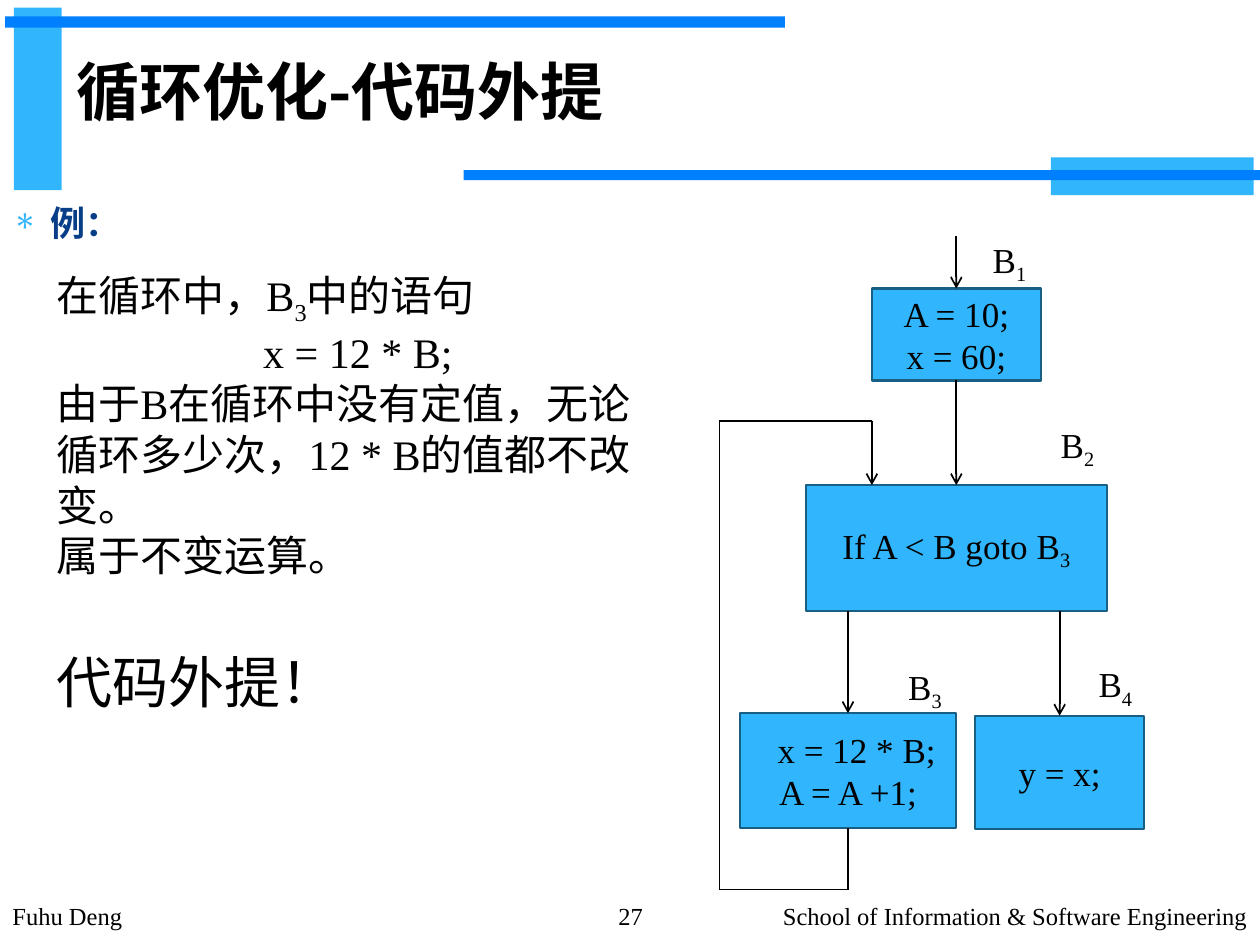
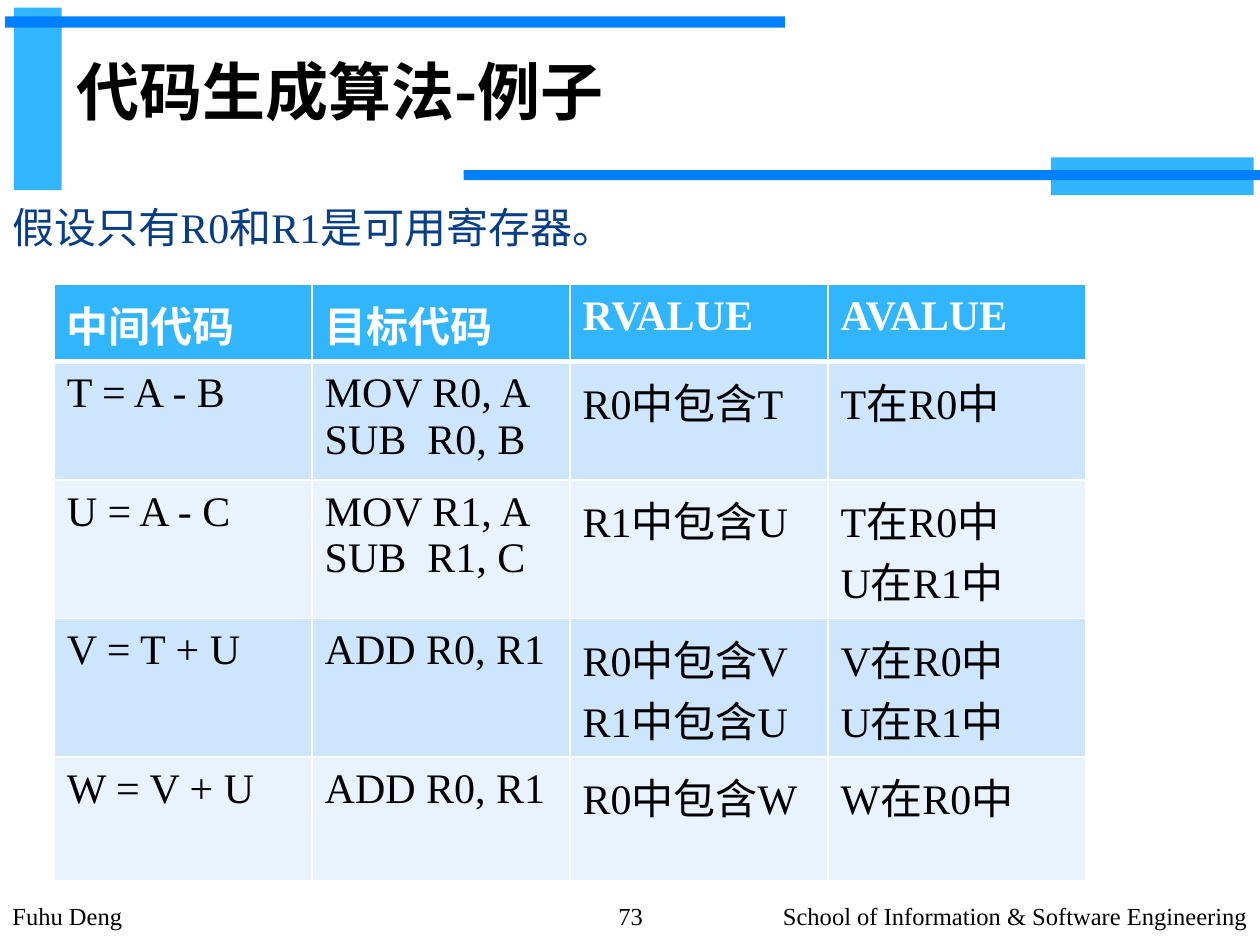
from dataclasses import dataclass
from typing import NamedTuple

from lxml import etree
from pptx import Presentation
from pptx.dml.color import RGBColor
from pptx.enum.shapes import MSO_CONNECTOR, MSO_SHAPE
from pptx.enum.text import MSO_ANCHOR, PP_ALIGN
from pptx.oxml.ns import qn
from pptx.util import Inches, Pt

RECTANGLE = MSO_SHAPE.RECTANGLE
STRAIGHT = MSO_CONNECTOR.STRAIGHT
TOP, MIDDLE = MSO_ANCHOR.TOP, MSO_ANCHOR.MIDDLE
LEFT, CENTER, RIGHT = PP_ALIGN.LEFT, PP_ALIGN.CENTER, PP_ALIGN.RIGHT
TOP_SIDE, BOTTOM_SIDE = 0, 2

WIDTH, HEIGHT = Inches(10), Inches(7.5)
COLUMNS, ROWS = 100, 75
LATIN, CHINESE = "Times New Roman", "Noto Sans CJK SC"
COLORS = {
    "sky": "31B6FD", "blue": "0080FF", "navy": "073E87", "edge": "195F84",
    "black": "000000", "white": "FFFFFF", "odd": "CEE5FE", "even": "E8F3FF",
}
BANDS = [
    ((1.1, 0.6, 3.8, 14.5), "sky"), ((0.4, 1.3, 61.9, 0.9), "blue"),
    ((83.4, 12.5, 16.1, 3), "sky"), ((36.8, 13.5, 63.6, 0.8), "blue"),
]
NODES = {
    "B1": ((12.1, 4.2, 13.4, 7.3), ["A = 10;", "x = 60;"], (20.7, -0.3)),
    "B2": ((6.85, 19.8, 23.9, 10), ["If A < B goto B_3"], (26.1, 14.4)),
    "B3": ((1.6, 37.9, 17.2, 9.1), ["  x = 12 * B;", "A = A +1;"], (14, 33.6)),
    "B4": ((20.3, 38.1, 13.4, 9), ["y = x;"], (29.1, 33.4)),
}
TABLE_ROWS = [
    ["中间代码", "目标代码", "RVALUE", "AVALUE"],
    ["T = A - B", "MOV R0, A\nSUB  R0, B", "R0中包含T", "T在R0中"],
    ["U = A - C", "MOV R1, A\nSUB  R1, C", "R1中包含U", "T在R0中\nU在R1中"],
    ["V = T + U", "ADD R0, R1", "R0中包含V\nR1中包含U", "V在R0中\nU在R1中"],
    ["W = V + U", "ADD R0, R1", "R0中包含W", "W在R0中"],
]
ROW_HEIGHTS = [6.1, 9.4, 11, 11, 9.8]


class Box(NamedTuple):
    """A rectangle in grid columns and rows."""

    left: float
    top: float
    width: float
    height: float

    def within(self, left, top, width, height):
        """Return a box placed relative to this one."""
        return Box(self.left + left, self.top + top, width, height)

    def point(self, column, row):
        """Return a slide position relative to this box."""
        return across(self.left + column), down(self.top + row)

    def lengths(self):
        """Return left, top, width and height as slide lengths."""
        return (across(self.left), down(self.top),
                across(self.width), down(self.height))


@dataclass
class Style:
    """The look of a paragraph."""

    size: float
    color: str = "black"
    bold: bool = False
    align: int = LEFT
    before: float = 0
    font: str = LATIN
    fixed: bool = True
    bullet: str = ""


PAGE = Box(0, 0, COLUMNS, ROWS)


def across(columns):
    """Turn columns into a length."""
    return round(WIDTH * columns / COLUMNS)


def down(rows):
    """Turn rows into a length."""
    return round(HEIGHT * rows / ROWS)


def rgb(name):
    """Look up a named colour."""
    return RGBColor.from_string(COLORS[name])


def add_bullet(para, mark):
    """Give a paragraph a hanging bullet."""
    properties = para._p.get_or_add_pPr()
    properties.set("marL", str(Inches(0.3)))
    properties.set("indent", str(-Inches(0.3)))
    color = etree.SubElement(properties, qn("a:buClr"))
    etree.SubElement(color, qn("a:srgbClr")).set("val", COLORS["sky"])
    etree.SubElement(properties, qn("a:buFont")).set("typeface", "Symbol")
    etree.SubElement(properties, qn("a:buChar")).set("char", mark)


def add_span(para, text, style, subscript):
    """Add one run, lowered if it is a subscript."""
    span = para.add_run()
    span.text = text
    span.font.size = Pt(style.size)
    span.font.bold = style.bold
    span.font.color.rgb = rgb(style.color)
    span.font.name = style.font
    properties = span._r.get_or_add_rPr()
    etree.SubElement(properties, qn("a:ea")).set("typeface", CHINESE)
    if subscript:
        properties.set("baseline", "-25000")


def write(frame, lines):
    """Fill a frame with (text, style) lines; underscores enclose subscripts."""
    for index, (text, style) in enumerate(lines):
        para = frame.add_paragraph() if index else frame.paragraphs[0]
        if style.bullet:
            add_bullet(para, style.bullet)
        para.alignment = style.align
        para.space_before = Pt(style.before)
        if style.fixed:
            para.line_spacing = Pt(round(style.size * 1.21, 1))
        for order, part in enumerate(text.split("_")):
            if part:
                add_span(para, part, style, order % 2 == 1)


def add_text(page, box, lines, anchor=TOP, wrap=True):
    """Add a text box."""
    frame = page.shapes.add_textbox(*box.lengths()).text_frame
    frame.word_wrap = wrap
    frame.vertical_anchor = anchor
    write(frame, lines)


def add_rectangle(page, box, fill, edge=None):
    """Add a flat rectangle."""
    shape = page.shapes.add_shape(RECTANGLE, *box.lengths())
    shape.shadow.inherit = False
    shape.fill.solid()
    shape.fill.fore_color.rgb = rgb(fill)
    if edge:
        shape.line.color.rgb = rgb(edge)
        shape.line.width = Pt(1.25)
    else:
        shape.line.fill.background()
    return shape


def add_edge(page, box, start, end, source=None, target=None, arrow=True):
    """Draw a flow line, joined to the nodes it meets at mid-side."""
    edge = page.shapes.add_connector(
        STRAIGHT, *box.point(*start), *box.point(*end))
    edge.line.color.rgb = rgb("black")
    edge.line.width = Pt(1)
    if arrow:
        etree.SubElement(edge.line._get_or_add_ln(), qn("a:tailEnd")).set("type", "arrow")
    etree.SubElement(edge._element.spPr, qn("a:effectLst"))
    if source is not None:
        edge.begin_connect(source, BOTTOM_SIDE)
    if target is not None:
        edge.end_connect(target, TOP_SIDE)


def add_frame(page, box, title, number):
    """Add the bands, title and footer shared by the slides."""
    for place, color in BANDS:
        add_rectangle(page, box.within(*place), color)
    add_text(page, box.within(5.1, 2.1, 82.7, 10.2),
             [(title, Style(36, bold=True, font=CHINESE, fixed=False))], MIDDLE)
    footers = [
        (0, 46.9, "Fuhu Deng", LEFT),
        (46.9, 6.3, str(number), CENTER),
        (53.1, 46.9, "School of Information & Software Engineering", RIGHT),
    ]
    for left, width, text, align in footers:
        add_text(page, box.within(left, 71, width, 4),
                 [(text, Style(14, align=align))])


def add_explanation(page, box):
    """Explain why the statement can leave the loop."""
    plain = Style(24)
    add_text(page, box, [
        ("在循环中，B_3_中的语句", plain),
        ("x = 12 * B;", Style(24, align=CENTER)),
        ("由于B在循环中没有定值，无论循环多少次，12 * B的值都不改变。", plain),
        ("属于不变运算。", plain),
        ("代码外提！", Style(32, before=38)),
    ])


def add_flow_graph(page, box):
    """Draw the basic blocks, their labels and the flow between them."""
    blocks = {}
    for name, (place, lines, label) in NODES.items():
        block = add_rectangle(page, box.within(*place), "sky", "edge")
        block.text_frame.vertical_anchor = MIDDLE
        block.text_frame.word_wrap = True
        code = Style(20, align=CENTER, fixed=len(lines) > 1)
        write(block.text_frame, [(line, code) for line in lines])
        blocks[name] = block
        add_text(page, box.within(*label, 4.8, 4.4),
                 [("_".join(name), Style(20, fixed=False))], wrap=False)
    add_edge(page, box, (18.8, 0), (18.8, 4.2), target=blocks["B1"])
    add_edge(page, box, (18.8, 11.5), (18.8, 19.8), blocks["B1"], blocks["B2"])
    add_edge(page, box, (10.2, 29.8), (10.2, 37.9), target=blocks["B3"])
    add_edge(page, box, (27, 29.8), (27, 38.1), target=blocks["B4"])
    loop = [(10.2, 47), (10.2, 51.9), (0, 51.9), (0, 14.7), (12.1, 14.7), (12.1, 19.8)]
    for index, (start, end) in enumerate(zip(loop, loop[1:])):
        add_edge(page, box, start, end, source=None if index else blocks["B3"],
                 arrow=end == loop[-1])


def style_cell(cell, fill, bottom):
    """Set a cell's margins, white borders and fill."""
    cell.margin_left = cell.margin_right = Inches(0.1)
    cell.margin_top = cell.margin_bottom = Inches(0.07)
    properties = cell._tc.get_or_add_tcPr()
    for side, width in (("L", 1), ("R", 1), ("T", 1), ("B", bottom)):
        line = etree.SubElement(properties, qn(f"a:ln{side}"))
        line.set("w", str(Pt(width)))
        paint = etree.SubElement(line, qn("a:solidFill"))
        etree.SubElement(paint, qn("a:srgbClr")).set("val", COLORS["white"])
    cell.fill.solid()
    cell.fill.fore_color.rgb = rgb(fill)


def add_code_table(page, box):
    """Add the table of generated code and register contents."""
    table = page.shapes.add_table(
        len(TABLE_ROWS), len(TABLE_ROWS[0]), *box.lengths()).table
    for column in table.columns:
        column.width = across(box.width / len(TABLE_ROWS[0]))
    for index, texts in enumerate(TABLE_ROWS):
        table.rows[index].height = down(ROW_HEIGHTS[index])
        header = index == 0
        fill = "sky" if header else ("even", "odd")[index % 2]
        style = Style(24, "white" if header else "black", header, fixed=False)
        for cell, text in zip(table.rows[index].cells, texts):
            style_cell(cell, fill, 3 if header else 1)
            write(cell.text_frame, [(line, style) for line in text.split("\n")])


def build_hoisting_slide(page, box):
    """Build the slide on moving code out of a loop."""
    add_frame(page, box, "循环优化-代码外提", 27)
    add_text(page, box.within(0, 15.5, 100, 5),
             [("例：", Style(20, "navy", True, bullet="∗"))])
    add_explanation(page, box.within(3.5, 21.4, 49.8, 36))
    add_flow_graph(page, box.within(57.1, 18.7, 33.7, 51.9))


def build_generation_slide(page, box):
    """Build the slide with the code generation example."""
    add_frame(page, box, "代码生成算法-例子", 73)
    add_text(page, box.within(0, 15.5, 100, 5),
             [("假设只有R0和R1是可用寄存器。", Style(24, "navy"))])
    add_code_table(page, box.within(4.3, 22.6, 81.9, sum(ROW_HEIGHTS)))


def main():
    """Build and save the deck."""
    deck = Presentation()
    deck.slide_width, deck.slide_height = WIDTH, HEIGHT
    for build in (build_hoisting_slide, build_generation_slide):
        build(deck.slides.add_slide(deck.slide_layouts[6]), PAGE)
    deck.save("out.pptx")


if __name__ == "__main__":
    main()
